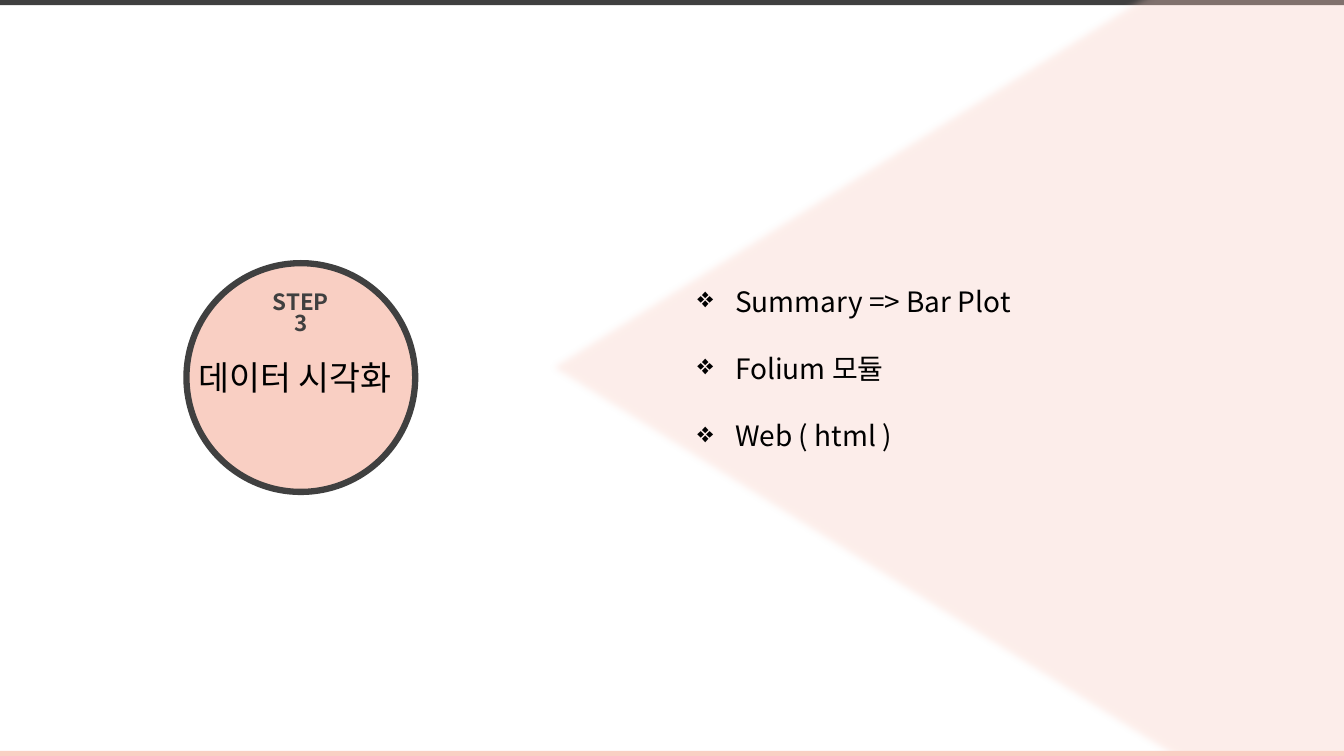
from dataclasses import dataclass
from lxml.etree import SubElement as Sub
from pptx import Presentation
from pptx.dml.color import RGBColor as Rgb
from pptx.enum.shapes import MSO_SHAPE as Kind
from pptx.enum.text import MSO_ANCHOR as Anchor, PP_ALIGN as Align
from pptx.oxml.ns import qn
from pptx.util import Pt


@dataclass(frozen=True)
class Theme:
    font: str = "Noto Sans CJK KR"
    dark: str = "404040"
    pink: str = "F9CFC3"
    ink: str = "000000"
    step: int = 16
    body: int = 20
    title: int = 24


look = Theme()


def shape(slide, kind, box, fill, line=None, width=0):
    item = slide.shapes.add_shape(kind, *map(Pt, box))
    item.shadow.inherit = False
    item.fill.solid()
    item.fill.fore_color.rgb = Rgb.from_string(fill)
    if line:
        item.line.color.rgb = Rgb.from_string(line)
        item.line.width = Pt(width)
    else:
        item.line.fill.background()
    return item


def text(slide, box, lines, size, color=look.ink, bold=False,
         align=Align.LEFT, lead=None, gap=0, mark=None, dent=27):
    frame = slide.shapes.add_textbox(*map(Pt, box)).text_frame
    frame.word_wrap = True
    frame.vertical_anchor = Anchor.MIDDLE
    for row, words in enumerate(lines):
        para = frame.add_paragraph() if row else frame.paragraphs[0]
        para.alignment = align
        if lead:
            para.line_spacing = lead
        para.space_before = Pt(gap if row else 0)
        run = para.add_run()
        run.text = words
        run.font.size = Pt(size)
        run.font.bold = bold
        run.font.color.rgb = Rgb.from_string(color)
        run.font.name = look.font
        Sub(run.font._element, qn("a:ea"), typeface=look.font)
        if mark:
            props = para._p.get_or_add_pPr()
            props.set("marL", str(Pt(dent)))
            props.set("indent", str(-Pt(dent)))
            Sub(props, qn("a:buChar"), char=mark)


def bars(slide, box, thick=3.6):
    left, top, wide, high = box
    shape(slide, Kind.RECTANGLE, (left, top, wide, thick), look.dark)
    shape(slide, Kind.RECTANGLE, (left, top + high - thick, wide, thick), look.pink)


def badge(slide, box, step, title):
    left, top, wide, high = box
    shape(slide, Kind.OVAL, box, look.pink, look.dark, 4.5)
    text(slide, (left + wide / 2 - 31, top + 23, 62, 27), [step], look.step,
         look.dark, bold=True, align=Align.CENTER, lead=0.8)
    text(slide, (left + 1.4, top + 63, wide + 5, 36), [title], look.title)


def beam(slide, box, alpha=35, soft=5):
    left, top, wide, high = box
    flat = (left + (wide - high) / 2, top + (high - wide) / 2, high, wide)
    cone = shape(slide, Kind.FLOWCHART_EXTRACT, flat, look.pink)
    cone.rotation = 270
    props = cone._element.spPr
    tint = props.find(qn("a:solidFill"))[0]
    Sub(tint, qn("a:alpha"), val=str(alpha * 1000))
    Sub(props.find(qn("a:effectLst")), qn("a:softEdge"), rad=str(Pt(soft)))


def points(slide, box, lines):
    text(slide, box, lines, look.body, lead=Pt(24), gap=24, mark="❖")


def main():
    deck = Presentation()
    deck.slide_width, deck.slide_height = Pt(960), Pt(540)
    slide = deck.slides.add_slide(deck.slide_layouts[6])
    bars(slide, (0, 0, 960, 540))
    badge(slide, (133.2, 188, 163.4, 163.4), "STEP3", "데이터 시각화")
    beam(slide, (386, -112.3, 601, 751))
    points(slide, (491, 199, 480, 128),
           ["Summary => Bar Plot", "Folium 모듈", "Web ( html )"])
    deck.save("out.pptx")


if __name__ == "__main__":
    main()
